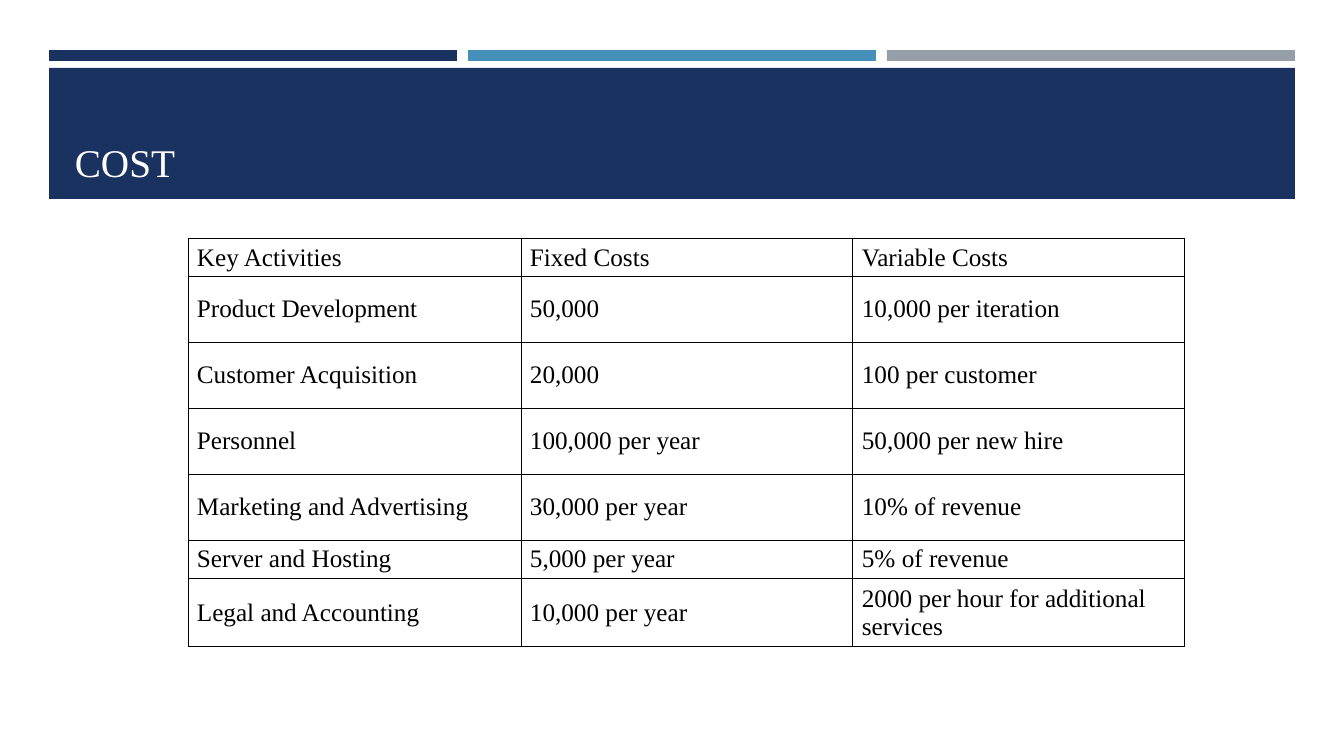
import pptx
import pptx.util
import pptx.dml.color
import pptx.enum.shapes
import pptx.enum.text
import pptx.oxml.ns
import lxml.etree

FONT = "Times New Roman"
COLORS = {"navy": "1A3260", "blue": "4590B8", "grey": "969FA7",
          "white": "FFFFFF", "black": "000000"}
TITLE = "COST"
COSTS = [
    ("Key Activities", "Fixed Costs", "Variable Costs"),
    ("Product Development", "50,000", "10,000 per iteration"),
    ("Customer Acquisition", "20,000", "100 per customer"),
    ("Personnel", "100,000 per year", "50,000 per new hire"),
    ("Marketing and Advertising", "30,000 per year", "10% of revenue"),
    ("Server and Hosting", "5,000 per year", "5% of revenue"),
    ("Legal and Accounting", "10,000 per year", "2000 per hour for additional services"),
]
COL_WIDTHS = [333, 332, 332]
SHORT_ROW, TALL_ROW = 38, 66
ROW_HEIGHTS = [SHORT_ROW, *[TALL_ROW] * 4, SHORT_ROW, TALL_ROW]
TABLE_LEFT, TABLE_TOP = 188, 238
STRIPES = ["navy", "blue", "grey"]
STRIPE_LEFT, STRIPE_TOP, STRIPE_WIDTH, STRIPE_HEIGHT, STRIPE_STEP = 49, 50, 408, 11, 419
BANNER = (49, 68, 1246, 131)
TITLE_BOX = (65, 78, 1216, 112)


def px(n):
    return pptx.util.Emu(round(n * 914400 / 100.8))


def rgb(name):
    return pptx.dml.color.RGBColor.from_string(COLORS[name])


def add_bar(slide, box, color):
    sp = slide.shapes.add_shape(pptx.enum.shapes.MSO_SHAPE.RECTANGLE, *map(px, box))
    sp.shadow.inherit = False
    sp.fill.solid()
    sp.fill.fore_color.rgb = rgb(color)
    sp.line.fill.background()


def write(tf, text, size, color):
    tf.text = text
    font = tf.paragraphs[0].runs[0].font
    font.name = FONT
    font.size = pptx.util.Pt(size)
    font.bold = False
    font.color.rgb = rgb(color)


def add_borders(cell):
    tcPr = cell._tc.get_or_add_tcPr()
    qn = pptx.oxml.ns.qn
    for i, side in enumerate(["lnL", "lnR", "lnT", "lnB"]):
        ln = lxml.etree.Element(qn("a:" + side), w=str(pptx.util.Pt(0.75)))
        fill = lxml.etree.SubElement(ln, qn("a:solidFill"))
        lxml.etree.SubElement(fill, qn("a:srgbClr"), val=COLORS["black"])
        tcPr.insert(i, ln)


def add_cost_table(slide):
    frame = slide.shapes.add_table(
        len(COSTS), len(COL_WIDTHS), px(TABLE_LEFT), px(TABLE_TOP),
        px(sum(COL_WIDTHS)), px(sum(ROW_HEIGHTS)))
    table = frame.table
    table.first_row = False
    table.horz_banding = False
    for col, width in zip(table.columns, COL_WIDTHS):
        col.width = px(width)
    for row, height in zip(table.rows, ROW_HEIGHTS):
        row.height = px(height)
    anchors = pptx.enum.text.MSO_ANCHOR
    for r, values in enumerate(COSTS):
        for c, value in enumerate(values):
            cell = table.cell(r, c)
            cell.fill.background()
            cell.margin_left = cell.margin_right = px(9)
            cell.margin_top = cell.margin_bottom = px(4)
            cell.vertical_anchor = anchors.MIDDLE if r else anchors.BOTTOM
            write(cell.text_frame, value, 18, "black")
            add_borders(cell)


def main():
    prs = pptx.Presentation()
    prs.slide_width, prs.slide_height = px(1344), px(756)
    slide = prs.slides.add_slide(prs.slide_layouts[6])
    for i, color in enumerate(STRIPES):
        left = STRIPE_LEFT + i * STRIPE_STEP
        add_bar(slide, (left, STRIPE_TOP, STRIPE_WIDTH, STRIPE_HEIGHT), color)
    add_bar(slide, BANNER, "navy")
    tf = slide.shapes.add_textbox(*map(px, TITLE_BOX)).text_frame
    tf.word_wrap = True
    tf.vertical_anchor = pptx.enum.text.MSO_ANCHOR.BOTTOM
    write(tf, TITLE, 28, "white")
    add_cost_table(slide)
    prs.save("out.pptx")


if __name__ == "__main__":
    main()
